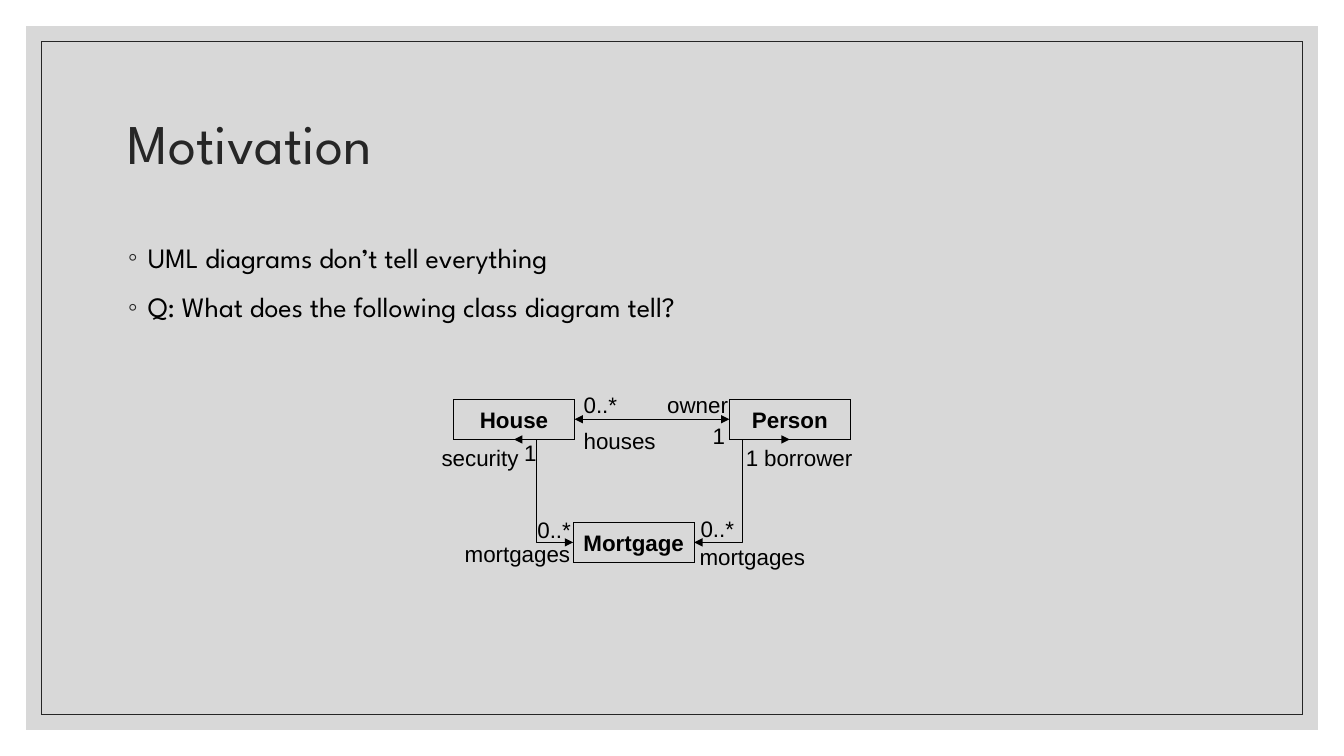
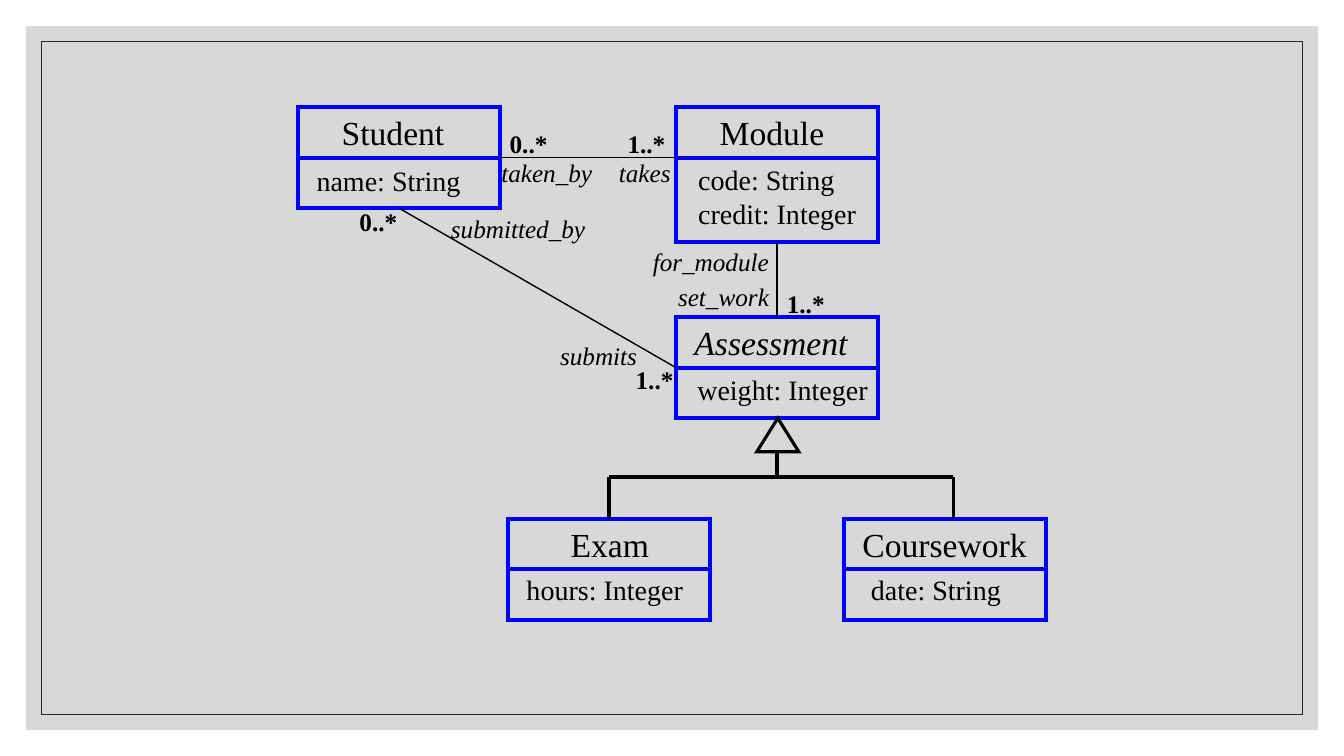
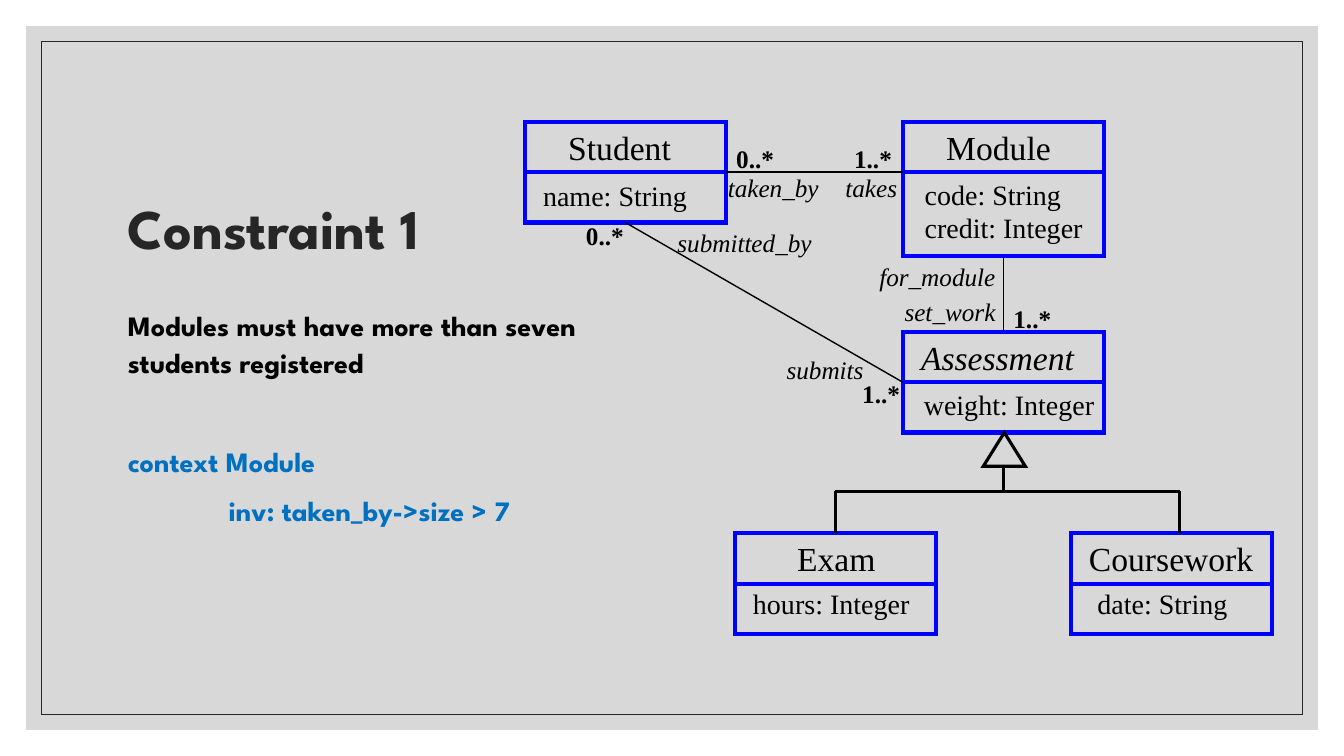
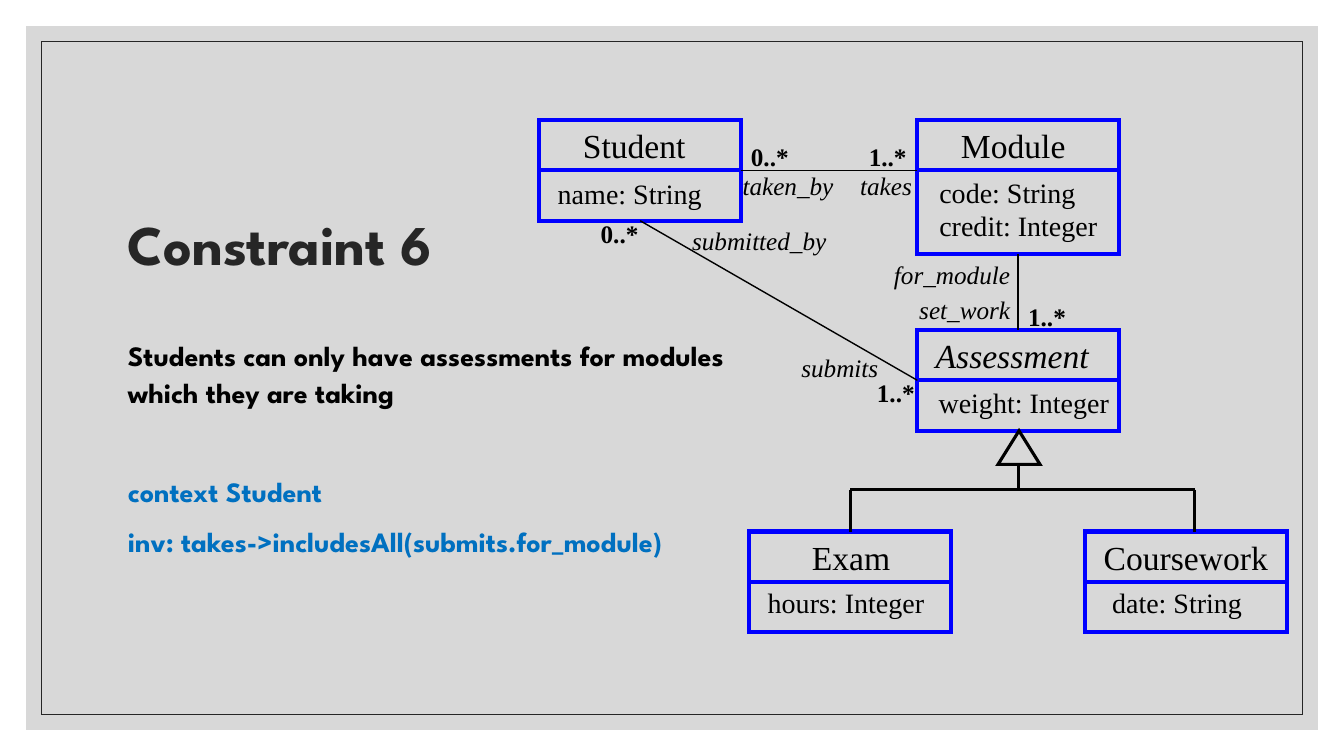
from dataclasses import dataclass

from lxml.etree import SubElement
from pptx import Presentation
from pptx.dml.color import RGBColor
from pptx.enum.shapes import MSO_CONNECTOR as LINE, MSO_SHAPE as SHAPE
from pptx.enum.text import MSO_ANCHOR as ANCHOR, PP_ALIGN as ALIGN
from pptx.oxml.ns import qn
from pptx.util import Pt


@dataclass(frozen=True)
class Theme:
    width: float = 960
    height: float = 540
    panel: str = "BFBFBF"
    dark: str = "262626"
    black: str = "000000"
    code: str = "0070C0"
    class_line: str = "0000FF"
    heading_font: str = "League Spartan"
    uml_font: str = "Times New Roman"
    sketch_font: str = "Arial"
    title_size: float = 40
    body_size: float = 20
    class_size: float = 24
    attribute_size: float = 20
    role_size: float = 18
    sketch_size: float = 16


THEME = Theme()
TOP, LEFT, BOTTOM, RIGHT = range(4)
LEFT_EDGE = 84.24
CLASS_WIDTH, HEADER_HEIGHT = 144, 36
LABEL_SLACK = 6  # keeps a label on one line

# Class: x, y, height, name, name x, name width, attributes, their x, y, width
CLASSES = [
    (0, 0, 72, "Student", 24, 88, "name: String", 6, 36.7, 117),
    (270, 0, 96, "Module", 24, 89, "code: String\ncredit: Integer", 8.6, 36, 127),
    (270, 150, 72, "Assessment", 6, 124, "weight: Integer", 8, 36, 136),
    (150, 294, 72, "Exam", 37.5, 70.5, "hours: Integer", 6, 34.6, 127),
    (390, 294, 72, "Coursework", 6, 132, "date: String", 12, 34.6, 107),
]
# Role names: text, x, y, width
ROLES = [
    ("takes", 222, 32.4, 51),
    ("taken_by", 138, 32.4, 79),
    ("for_module", 246.2, 95.8, 97),
    ("set_work", 264.2, 121, 79),
    ("submits", 180, 162.7, 69),
    ("submitted_by", 102, 72, 110),
]
MULTIPLICITIES = [
    ("0..*", 144, 11.5),
    ("1..*", 228.2, 11.5),
    ("1..*", 342, 126),
    ("1..*", 234, 180),
    ("0..*", 36.7, 67),
]
# Labels of the mortgage sketch: text, x, y, width
SKETCH_LABELS = [
    ("security", 315.4, 317.5, 55),
    ("1", 374.4, 313.9, 8),
    ("1", 532.8, 317.5, 8),
    ("0..*", 383.8, 368.6, 23),
    ("0..*", 416.9, 279.4, 23),
    ("0..*", 500.4, 367.9, 23),
    ("1", 509, 301.7, 21),
    ("mortgages", 331.9, 385.9, 76),
    ("borrower", 545.8, 317.5, 64),
    ("houses", 416.9, 305.3, 52),
    ("mortgages", 499.7, 388.1, 76),
    ("owner", 476.6, 279.4, 44),
]


def rgb(value):
    return RGBColor.from_string(value)


def style(paragraph, font, size, color=THEME.black, bold=False, italic=False):
    for run in paragraph.runs:
        run.font.name, run.font.size = font, Pt(size)
        run.font.bold, run.font.italic = bold, italic
        run.font.color.rgb = rgb(color)


def add_label(slide, text, x, y, width, height, font, size, margins=(7.2, 3.6),
              **emphasis):
    label = slide.shapes.add_textbox(Pt(x), Pt(y), Pt(width + LABEL_SLACK),
                                     Pt(height))
    frame = label.text_frame
    frame.word_wrap = True
    frame.margin_left = frame.margin_right = Pt(margins[0])
    frame.margin_top = frame.margin_bottom = Pt(margins[1])
    frame.text = text
    for paragraph in frame.paragraphs:
        style(paragraph, font, size, **emphasis)


def add_outline(slide, x, y, width, height, color, weight, kind=SHAPE.RECTANGLE):
    outline = slide.shapes.add_shape(kind, Pt(x), Pt(y), Pt(width), Pt(height))
    outline.shadow.inherit = False
    outline.fill.background()
    outline.line.color.rgb = rgb(color)
    outline.line.width = Pt(weight)
    stroke = outline._element.spPr.find(qn("a:ln"))
    SubElement(stroke, qn("a:miter"), lim="800000")
    return outline


def add_line(slide, start, end, color, weight, source=None, target=None,
             arrows=False, bend=None):
    """Draw a line; source and target are (shape, side) pairs to join."""
    kind = LINE.STRAIGHT if bend is None else LINE.ELBOW
    line = slide.shapes.add_connector(kind, *map(Pt, (*start, *end)))
    line.line.color.rgb = rgb(color)
    line.line.width = Pt(weight)
    properties = line._element.spPr
    if arrows:
        for tip in ("a:headEnd", "a:tailEnd"):
            SubElement(properties.find(qn("a:ln")), qn(tip), type="triangle")
    if bend is not None:
        adjustments = properties.find(qn("a:prstGeom")).find(qn("a:avLst"))
        SubElement(adjustments, qn("a:gd"), name="adj1", fmla=f"val {bend}")
    SubElement(properties, qn("a:effectLst"))
    if source:
        line.begin_connect(*source)
    if target:
        line.end_connect(*target)


def add_framed_slide(deck):
    slide = deck.slides.add_slide(deck.slide_layouts[6])

    def inset(margin, color, weight):
        return add_outline(slide, margin, margin, THEME.width - 2 * margin,
                           THEME.height - 2 * margin, color, weight)

    # Translucent panel and thin border
    panel = inset(18.7, THEME.panel, 0)
    panel.fill.solid()
    panel.fill.fore_color.rgb = rgb(THEME.panel)
    panel_color = panel._element.spPr.find(qn("a:solidFill"))[0]
    SubElement(panel_color, qn("a:alpha"), val="60000")
    panel.line.fill.background()
    inset(29.4, THEME.dark, 0.5)
    return slide


def add_title(slide, text, y, bold=False):
    title = slide.shapes.add_textbox(Pt(LEFT_EDGE), Pt(y), Pt(792), Pt(108))
    frame = title.text_frame
    frame.word_wrap = True
    frame.vertical_anchor = ANCHOR.MIDDLE
    frame.text = text
    heading = frame.paragraphs[0]
    heading.line_spacing = 0.9
    style(heading, THEME.heading_font, THEME.title_size, THEME.dark, bold)


def add_body(slide, lines, y, width, height):
    """Fill the body and return its paragraphs."""
    body = slide.shapes.add_textbox(Pt(LEFT_EDGE), Pt(y), Pt(width), Pt(height))
    frame = body.text_frame
    frame.word_wrap = True
    frame.text = "\n".join(lines)
    for paragraph in frame.paragraphs:
        paragraph.line_spacing = 1.1
        paragraph.space_before = Pt(9)
        style(paragraph, THEME.heading_font, THEME.body_size)
    return frame.paragraphs


def indent(paragraph, left, first=0):
    properties = paragraph._p.get_or_add_pPr()
    properties.set("marL", str(Pt(left)))
    properties.set("indent", str(Pt(first)))
    return properties


def add_bullet(paragraph):
    properties = indent(paragraph, 14.4, -14.4)
    bullet_color = SubElement(properties, qn("a:buClr"))
    SubElement(bullet_color, qn("a:srgbClr"), val=THEME.dark)
    SubElement(properties, qn("a:buFont"), typeface=THEME.sketch_font)
    SubElement(properties, qn("a:buChar"), char="◦")


def add_mortgage_sketch(slide):
    def entity(name, x, y):
        box = add_outline(slide, x, y, 86.4, 28.8, THEME.black, 0.75)
        frame = box.text_frame
        frame.margin_left = frame.margin_right = 0
        frame.margin_top = frame.margin_bottom = 0
        frame.vertical_anchor = ANCHOR.MIDDLE
        frame.word_wrap = False
        frame.text = name
        frame.paragraphs[0].alignment = ALIGN.CENTER
        style(frame.paragraphs[0], THEME.sketch_font, THEME.sketch_size, bold=True)
        return box

    house = entity("House", 324, 285.1)
    person = entity("Person", 521, 285.1)
    entity("Mortgage", 409.5, 373)

    # Associations
    pen = (THEME.black, 0.75)
    add_line(slide, (410.4, 299.5), (521, 299.5), *pen,
             source=(house, RIGHT), target=(person, LEFT), arrows=True)
    add_line(slide, (564.2, 313.9), (495.9, 387.4), *pen, arrows=True, bend=50000)
    add_line(slide, (367.2, 313.9), (409.5, 387.4), *pen, arrows=True, bend=37400)
    for text, x, y, width in SKETCH_LABELS:
        add_label(slide, text, x, y, width, 16.6, THEME.sketch_font,
                  THEME.sketch_size, margins=(0, 0))


def add_class_diagram(slide, left, top):
    def at(x, y):
        return left + x, top + y

    def label(text, x, y, width, height, size, **emphasis):
        add_label(slide, text, *at(x, y), width, height, THEME.uml_font, size,
                  **emphasis)

    # Classes with a name and attributes
    boxes = {}
    pen = (THEME.class_line, 3)
    for x, y, height, name, name_x, name_w, attributes, dx, dy, width in CLASSES:
        boxes[name] = add_outline(slide, *at(x, y), CLASS_WIDTH, height, *pen)
        divider = y + HEADER_HEIGHT
        add_line(slide, at(x, divider), at(x + CLASS_WIDTH, divider), *pen)
        label(name, x + name_x, y, name_w, HEADER_HEIGHT, THEME.class_size,
              italic=name == "Assessment")
        label(attributes, x + dx, y + dy, width, height - 40, THEME.attribute_size)

    # Associations
    student, module = boxes["Student"], boxes["Module"]
    assessment, exam = boxes["Assessment"], boxes["Exam"]
    pen = (THEME.black, 1)
    add_line(slide, at(144, 36), at(270, 36), *pen, source=(student, RIGHT))
    add_line(slide, at(72, 72), at(270, 186), *pen,
             source=(student, BOTTOM), target=(assessment, LEFT))
    add_line(slide, at(342, 96), at(342, 150), *pen,
             source=(module, BOTTOM), target=(assessment, TOP))

    # Inheritance tree
    pen = (THEME.black, 2.25)
    add_outline(slide, *at(327.6, 222), 30, 24, *pen, kind=SHAPE.FLOWCHART_EXTRACT)
    add_line(slide, at(342, 246), at(342, 264), *pen)
    add_line(slide, at(222, 264), at(468, 264), *pen)
    add_line(slide, at(222, 264), at(222, 294), *pen, target=(exam, TOP))
    add_line(slide, at(468, 264), at(468, 294), *pen)

    # Roles and multiplicities
    for text, x, y, width in ROLES:
        label(text, x, y, width, 29, THEME.role_size, italic=True)
    for text, x, y in MULTIPLICITIES:
        label(text, x, y, 41, 29, THEME.role_size, bold=True)


def add_constraint(deck, title, title_y, rule, code, body, code_indent, origin):
    slide = add_framed_slide(deck)
    add_title(slide, title, title_y, bold=True)
    statement, context, invariant = add_body(slide, [rule, *code], *body)
    style(statement, THEME.heading_font, THEME.body_size, bold=True)
    for paragraph in (context, invariant):
        style(paragraph, THEME.heading_font, THEME.body_size, THEME.code, True)
    context.space_before = Pt(44.4)
    indent(invariant, code_indent)
    add_class_diagram(slide, *origin)


def main():
    deck = Presentation()
    deck.slide_width, deck.slide_height = Pt(THEME.width), Pt(THEME.height)

    # Motivation
    motivation = add_framed_slide(deck)
    add_title(motivation, "Motivation", 50.4)
    points = ["UML diagrams don’t tell everything",
              "Q: What does the following class diagram tell?"]
    for point in add_body(motivation, points, 165.6, 792, 303):
        add_bullet(point)
    add_mortgage_sketch(motivation)

    # Class diagram alone
    add_class_diagram(add_framed_slide(deck), 213, 76.7)

    # Constraints beside the class diagram
    add_constraint(deck, "Constraint 1", 111.6,
                   "Modules must have more than seven students registered",
                   ["context Module", "inv: taken_by->size > 7"],
                   (214.2, 338.4, 255), 72, (374.8, 87))
    add_constraint(deck, "Constraint 6", 122.4,
                   "Students can only have assessments for modules which they are taking",
                   ["context Student", "inv: takes->includesAll(submits.for_module)"],
                   (235.8, 447, 233), 0, (385.3, 85.7))

    deck.save("out.pptx")


if __name__ == "__main__":
    main()
